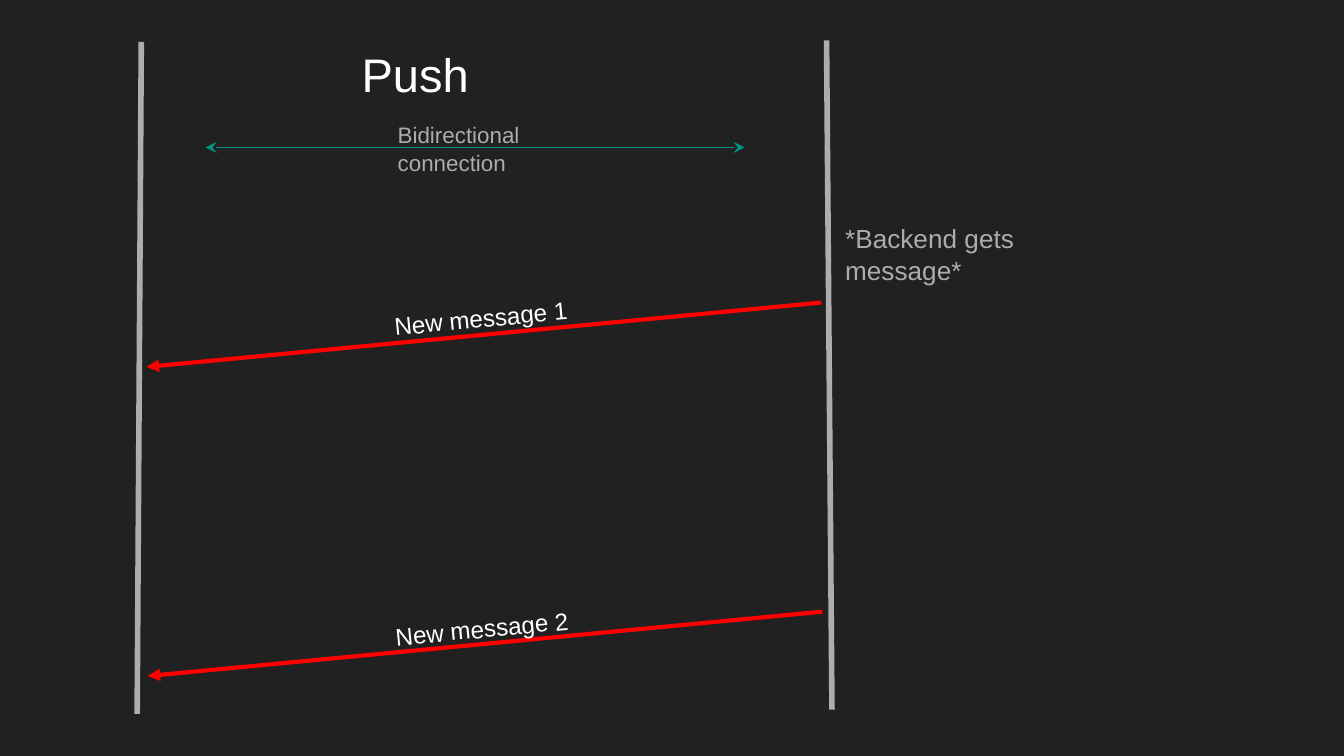
import dataclasses

import pptx
import pptx.dml.color
import pptx.enum.shapes
import pptx.enum.text
import pptx.util
from lxml import etree
from pptx.oxml.ns import qn

Pt = pptx.util.Pt


@dataclasses.dataclass(frozen=True)
class Theme:
    font: str = "Arial"
    background: str = "212121"
    white: str = "FFFFFF"
    grey: str = "ADADAD"
    red: str = "FF0000"
    teal: str = "009688"
    title_size: float = 25.2
    note_size: float = 14
    message_size: float = 13
    caption_size: float = 12
    lifeline_width: float = 3
    message_width: float = 2.25
    link_width: float = 0.75


@dataclasses.dataclass(frozen=True)
class Box:
    left: float
    top: float
    width: float
    height: float

    def inner(self, left, top, width, height):
        return Box(self.left + left, self.top + top, width, height)


THEME = Theme()


def color(value):
    return pptx.dml.color.RGBColor.from_string(value)


def draw_line(page, start, end, line_color, width, head=None, tail=None):
    line = page.shapes.add_connector(
        pptx.enum.shapes.MSO_CONNECTOR.STRAIGHT, *[Pt(value) for value in (*start, *end)])
    line.line.color.rgb = color(line_color)
    line.line.width = Pt(width)
    outline = line.line._get_or_add_ln()
    for tag, kind in (("a:headEnd", head), ("a:tailEnd", tail)):
        if kind:
            etree.SubElement(outline, qn(tag), type=kind, w="med", len="med")
    etree.SubElement(line._element.spPr, qn("a:effectLst"))


def write_text(shape, text, size, text_color, spacing=1.0):
    frame = shape.text_frame
    frame.word_wrap = True
    frame.auto_size = pptx.enum.text.MSO_AUTO_SIZE.NONE
    frame.vertical_anchor = pptx.enum.text.MSO_ANCHOR.TOP
    frame.margin_left = frame.margin_right = Pt(7.2)
    frame.margin_top = frame.margin_bottom = Pt(7.2)
    para = frame.paragraphs[0]
    para.alignment = pptx.enum.text.PP_ALIGN.LEFT
    para.line_spacing = spacing
    span = para.add_run()
    span.text = text
    span.font.name = THEME.font
    span.font.size = Pt(size)
    span.font.color.rgb = color(text_color)


def place(shape, box):
    shape.left, shape.top = Pt(box.left), Pt(box.top)
    shape.width, shape.height = Pt(box.width), Pt(box.height)


def add_label(page, box, text, size, text_color, spacing=1.0, rotation=0):
    label = page.shapes.add_textbox(Pt(0), Pt(0), Pt(box.width), Pt(box.height))
    place(label, box)
    label.rotation = rotation
    write_text(label, text, size, text_color, spacing)


def add_lifelines(page, box):
    right, bottom = box.left + box.width, box.top + box.height
    for start, end in (
        ((right - 2.9, box.top), (right, bottom - 2.2)),
        ((box.left + 2.2, box.top + 0.7), (box.left, bottom)),
    ):
        draw_line(page, start, end, THEME.grey, THEME.lifeline_width)


def add_title(page, box):
    place(page.shapes.title, box)
    write_text(page.shapes.title, "Push", THEME.title_size, THEME.white)


def add_connection(page, box):
    """Two-way arrow through the middle of the box, with its caption."""
    middle = box.top + box.height / 2
    draw_line(page, (box.left, middle), (box.left + box.width, middle),
              THEME.teal, THEME.link_width, "stealth", "stealth")
    add_label(page, box.inner(95.8, 0, 116, box.height), "Bidirectional connection",
              THEME.caption_size, THEME.grey, 1.05)


def add_message(page, box, text, label_width):
    """Arrow from the top right to the bottom left, with a label along it."""
    draw_line(page, (box.left + box.width, box.top), (box.left, box.top + box.height),
              THEME.red, THEME.message_width, tail="triangle")
    add_label(page, box.inner(125.3, -10.4, label_width, 30.2), text,
              THEME.message_size, THEME.white, rotation=354.5)


def main():
    deck = pptx.Presentation()
    deck.slide_width, deck.slide_height = Pt(720), Pt(405)
    page = deck.slides.add_slide(deck.slide_layouts[5])
    page.background.fill.solid()
    page.background.fill.fore_color.rgb = color(THEME.background)

    # Client and backend lifelines
    add_lifelines(page, Box(73.5, 21.7, 372.2, 360.7))

    # Heading and open connection
    add_title(page, Box(186.5, 17.3, 162.7, 45.4))
    add_connection(page, Box(110.2, 57, 288.7, 44))

    # Backend event
    add_label(page, Box(445.7, 110.9, 116, 48.2), "*Backend gets message*",
              THEME.note_size, THEME.grey, 1.05)

    # Pushed messages
    first = Box(78.5, 162.1, 361.5, 34.5)
    add_message(page, first, "New message 1", 180.7)
    add_message(page, first.inner(0.6, 165.6, first.width, first.height),
                "New message 2", 194.4)

    deck.save("out.pptx")


if __name__ == "__main__":
    main()
